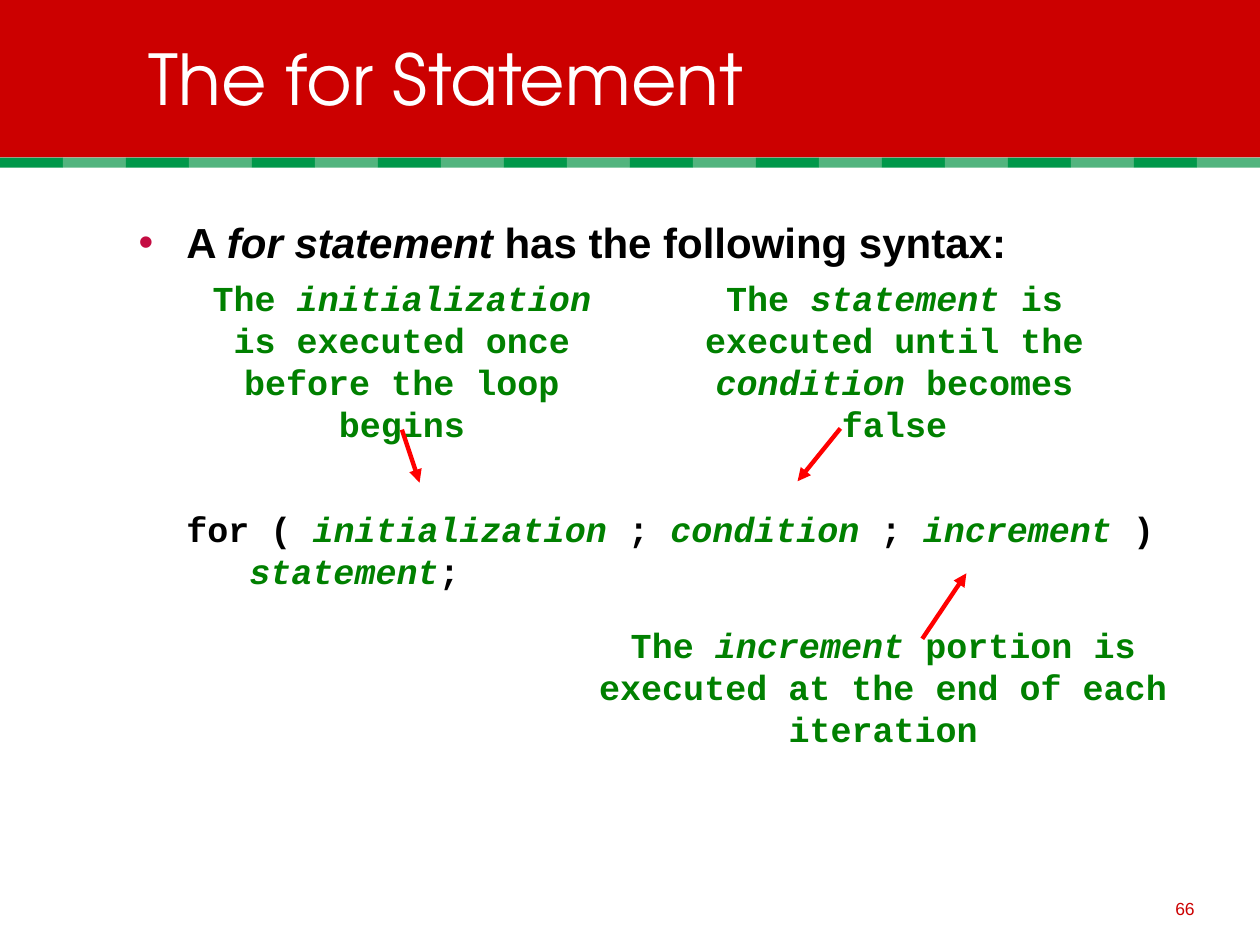
import dataclasses

import lxml.etree
import pptx
import pptx.dml.color
import pptx.enum.shapes
import pptx.enum.text
import pptx.oxml
import pptx.oxml.ns
import pptx.util

Inches = pptx.util.Inches
Pt = pptx.util.Pt
ALIGN = pptx.enum.text.PP_ALIGN
ANCHOR = pptx.enum.text.MSO_ANCHOR
qn = pptx.oxml.ns.qn


@dataclasses.dataclass(frozen=True)
class Theme:
    banner: str = "CC0000"
    stripes: tuple = ("00984A", "52B47E")
    title: str = "FFFFFF"
    text: str = "000000"
    term: str = "008000"
    bullet: str = "C40C42"
    arrow: str = "FF0000"
    title_font: str = "TeX Gyre Adventor"
    body_font: str = "Arial"
    code_font: str = "Courier New"
    title_size: int = 40
    body_size: int = 24
    code_size: int = 20
    number_size: int = 10
    arrow_width: float = 2.5


def rgb(color):
    return pptx.dml.color.RGBColor.from_string(color)


def add_run(p, text, *, font, size, color, bold=False, italic=False):
    r = p.add_run()
    r.text = text
    r.font.name = font
    r.font.size = Pt(size)
    r.font.color.rgb = rgb(color)
    r.font.bold = bold
    r.font.italic = italic
    return r


class SlideBuilder:
    def __init__(self, s, theme):
        self.s = s
        self.theme = theme

    def rect(self, left, top, width, height, color):
        sp = self.s.shapes.add_shape(
            pptx.enum.shapes.MSO_SHAPE.RECTANGLE,
            Inches(left), Inches(top), Inches(width), Inches(height))
        sp.shadow.inherit = False
        sp.fill.solid()
        sp.fill.fore_color.rgb = rgb(color)
        sp.line.fill.background()

    def banner(self):
        self.rect(0, 0, 10, 1.25, self.theme.banner)
        for i in range(20):
            self.rect(i * 0.5, 1.25, 0.5, 0.08, self.theme.stripes[i % 2])

    def place(self, sp, left, top, width, height, anchor):
        sp.left, sp.top = Inches(left), Inches(top)
        sp.width, sp.height = Inches(width), Inches(height)
        tf = sp.text_frame
        tf.word_wrap = True
        tf.auto_size = pptx.enum.text.MSO_AUTO_SIZE.NONE
        tf.vertical_anchor = anchor
        return tf

    def placeholder(self, sp, *box, anchor):
        sp.element.getparent().append(sp.element)
        return self.place(sp, *box, anchor).paragraphs[0]

    def title(self, text, *box):
        t = self.theme
        p = self.placeholder(self.s.shapes.title, *box, anchor=ANCHOR.MIDDLE)
        p.alignment = ALIGN.LEFT
        add_run(p, text, font=t.title_font, size=t.title_size, color=t.title)

    def body(self, parts, *box):
        t = self.theme
        p = self.placeholder(self.s.placeholders[1], *box, anchor=ANCHOR.TOP)
        p.space_before = Pt(6)
        pPr = p._p.get_or_add_pPr()
        pPr.set("marL", str(Inches(0.38)))
        pPr.set("indent", str(Inches(-0.38)))
        buClr = lxml.etree.SubElement(pPr, qn("a:buClr"))
        lxml.etree.SubElement(buClr, qn("a:srgbClr")).set("val", t.bullet)
        lxml.etree.SubElement(pPr, qn("a:buChar")).set("char", "•")
        for text, italic in parts:
            add_run(p, text, font=t.body_font, size=t.body_size,
                    color=t.text, bold=True, italic=italic)

    def textbox(self, *box, anchor):
        sp = self.s.shapes.add_textbox(0, 0, 0, 0)
        self.place(sp, *box, anchor)
        return sp

    def code(self, lines, *box, color, align=ALIGN.LEFT):
        t = self.theme
        sp = self.textbox(*box, anchor=ANCHOR.MIDDLE)
        tf = sp.text_frame
        for i, line in enumerate(lines):
            p = tf.add_paragraph() if i else tf.paragraphs[0]
            p.alignment = align
            for text, is_term in line:
                add_run(p, text, font=t.code_font, size=t.code_size,
                        color=t.term if is_term else color,
                        bold=True, italic=is_term)
        return sp

    def note(self, lines, *box):
        return self.code(lines, *box, color=self.theme.term, align=ALIGN.CENTER)

    def arrow(self, x1, y1, x2, y2):
        cxn = self.s.shapes.add_connector(
            pptx.enum.shapes.MSO_CONNECTOR.STRAIGHT,
            Inches(x1), Inches(y1), Inches(x2), Inches(y2))
        cxn.line.color.rgb = rgb(self.theme.arrow)
        cxn.line.width = Pt(self.theme.arrow_width)
        ln = cxn.line._get_or_add_ln()
        lxml.etree.SubElement(ln, qn("a:tailEnd")).set("type", "triangle")
        lxml.etree.SubElement(cxn._element.spPr, qn("a:effectLst"))
        return cxn

    def page_number(self, text, *box):
        t = self.theme
        p = self.textbox(*box, anchor=ANCHOR.BOTTOM).text_frame.paragraphs[0]
        p.alignment = ALIGN.RIGHT
        add_run(p, text, font=t.body_font, size=t.number_size, color=t.banner)


def main():
    prs = pptx.Presentation()
    prs.slide_width, prs.slide_height = Inches(10), Inches(7.5)
    theme = Theme()
    b = SlideBuilder(prs.slides.add_slide(prs.slide_layouts[1]), theme)

    b.banner()
    b.title("The for Statement", 1.08, 0.24, 8.67, 0.75)
    b.body([("A ", False), ("for statement", True),
            (" has the following syntax:", False)], 1, 1.67, 8.67, 0.87)

    b.code([
        [("for ( ", False), ("initialization", True), (" ; ", False),
         ("condition", True), (" ; ", False), ("increment", True), (" )", False)],
        [("   ", False), ("statement", True), (";", False)],
    ], 1.38, 3.98, 7.88, 0.77, color=theme.text)

    initialization = b.note([
        [("The ", False), ("initialization", True)],
        [("is executed once", False)],
        [("before the loop begins", False)],
    ], 1.53, 2.31, 3.32, 1.1)
    b.arrow(3.17, 3.42, 3.33, 3.83).begin_connect(initialization, 2)

    b.note([
        [("The ", False), ("statement", True), (" is", False)],
        [("executed until the", False)],
        [("condition", True), (" becomes false", False)],
    ], 5.23, 2.31, 3.74, 1.1)
    b.arrow(6.67, 3.4, 6.33, 3.82)

    b.note([
        [("The ", False), ("increment", True),
         (" portion is executed at the end of each iteration", False)],
    ], 4.5, 4.9, 5.02, 1.1)
    b.arrow(7.32, 5.07, 7.67, 4.55)

    b.page_number("66", 7.5, 6.92, 2.08, 0.42)
    prs.save("out.pptx")


if __name__ == "__main__":
    main()
